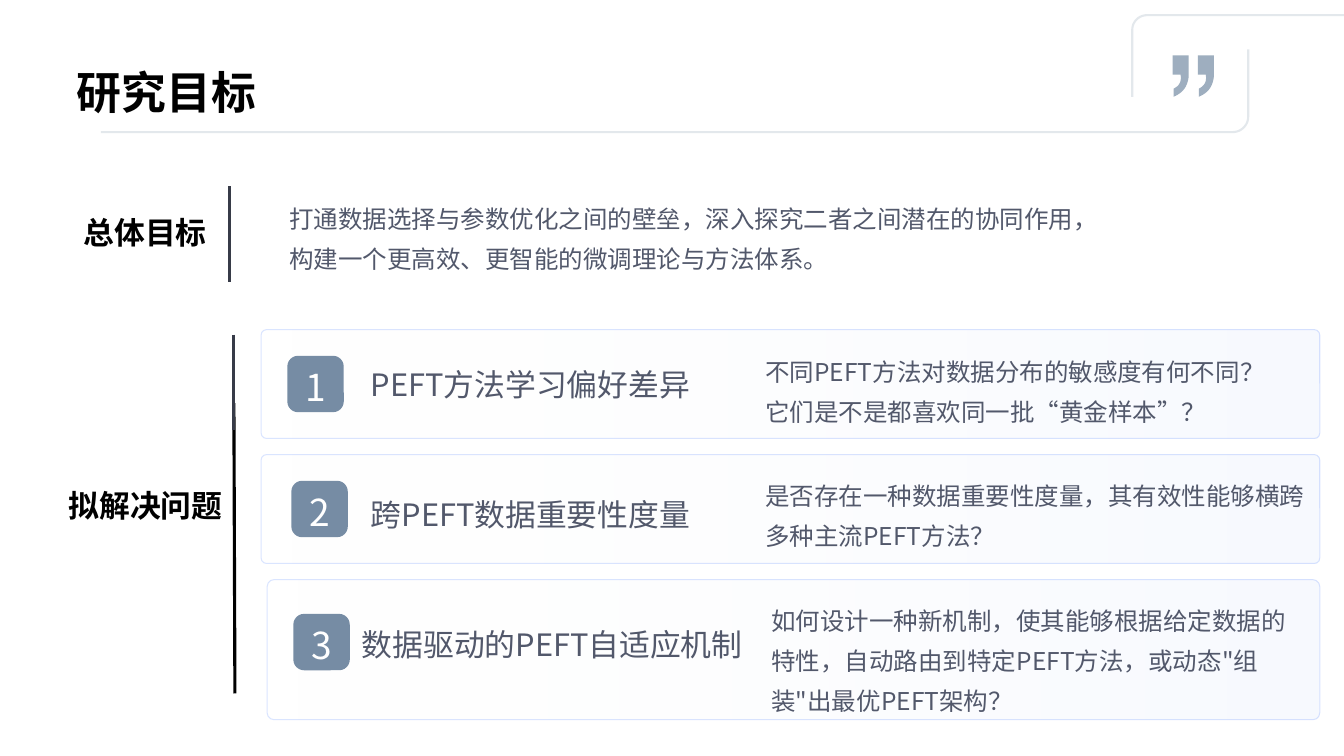
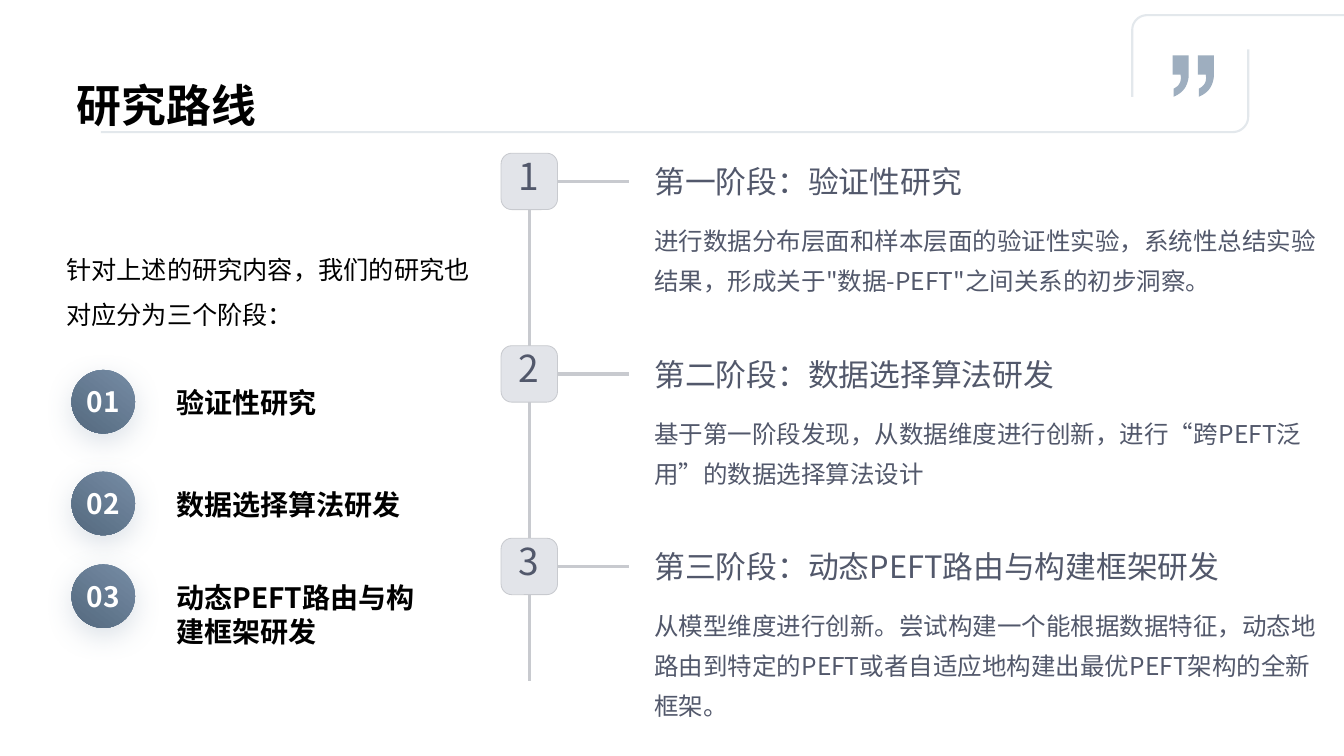
from lxml import etree
from pptx import Presentation
from pptx.dml.color import RGBColor
from pptx.enum.shapes import MSO_CONNECTOR, MSO_SHAPE
from pptx.enum.text import MSO_ANCHOR, MSO_AUTO_SIZE, PP_ALIGN
from pptx.oxml.ns import qn
from pptx.util import Pt

ROUND, OVAL = MSO_SHAPE.ROUNDED_RECTANGLE, MSO_SHAPE.OVAL
STRAIGHT = MSO_CONNECTOR.STRAIGHT
LEFT, CENTER = PP_ALIGN.LEFT, PP_ALIGN.CENTER
TOP, MIDDLE, BOTTOM = MSO_ANCHOR.TOP, MSO_ANCHOR.MIDDLE, MSO_ANCHOR.BOTTOM
NO_FIT = MSO_AUTO_SIZE.NONE

SANS, ARIAL = "Noto Sans CJK SC", "Arial"
BLACK, WHITE, INK, DARK = "000000", "FFFFFF", "52586B", "373B48"
STEEL, DEEP, RULE, MIST = "768CA4", "54697F", "C8CACF", "E2E4E9"
PALE, SKY, EDGE = "F5F8FF", "D7E2FF", "87A9FF"

HEAD = dict(size=22, color=INK, lead=Pt(27.5))
BODY = dict(size=17.5, color=INK, lead=Pt(28.5))
DIGIT = dict(size=26.5, lead=Pt(26.5), align=CENTER)
LABEL = dict(size=22, color=BLACK, bold=True)
PAD = (10, 5, 10, 5)
SIDE = 56

PROBLEMS = [
    ((259, 327, 1050, 108), (285, 353), (368, 361), (759, 344, 519),
     "PEFT方法学习偏好差异",
     "不同PEFT方法对数据分布的敏感度有何不同？它们是不是都喜欢同一批“黄金样本”？"),
    ((259, 451, 1050, 108), (289, 477), (368, 490), (759, 467, 550),
     "跨PEFT数据重要性度量",
     "是否存在一种数据重要性度量，其有效性能够横跨多种主流PEFT方法？"),
    ((265, 575, 1044, 139), (291, 609), (359, 619), (765, 591, 535),
     "数据驱动的PEFT自适应机制",
     "如何设计一种新机制，使其能够根据给定数据的特性，自动路由到特定PEFT方法，或动态\"组装\"出最优PEFT架构？"),
]
STAGES = [
    (367, "验证性研究", "第一阶段：验证性研究",
     "进行数据分布层面和样本层面的验证性实验，系统性总结实验结果，形成关于\"数据-PEFT\"之间关系的初步洞察。"),
    (468, "数据选择算法研发", "第二阶段：数据选择算法研发",
     "基于第一阶段发现，从数据维度进行创新，进行“跨PEFT泛用”的数据选择算法设计"),
    (560, "动态PEFT路由与构建框架研发", "第三阶段：动态PEFT路由与构建框架研发",
     "从模型维度进行创新。尝试构建一个能根据数据特征，动态地路由到特定的PEFT或者自适应地构建出最优PEFT架构的全新框架。"),
]


def px(n):
    return round(n * 9144)


def rgb(code):
    return RGBColor.from_string(code)


def write(shape, text, size=18, color=BLACK, bold=False, face=SANS,
          align=LEFT, lead=None, anchor=TOP, pad=(0, 0, 0, 0)):
    frame = shape.text_frame
    frame.word_wrap = True
    frame.auto_size = NO_FIT
    frame.vertical_anchor = anchor
    (frame.margin_left, frame.margin_top,
     frame.margin_right, frame.margin_bottom) = map(px, pad)
    frame.text = text
    for para in frame.paragraphs:
        para.alignment = align
        para.line_spacing = lead
        for run in para.runs:
            font = run.font
            font.size, font.bold = Pt(size), bold
            font.color.rgb = rgb(color)
            font.name = face
    for props in shape.element.iter(qn("a:rPr")):
        etree.SubElement(props, qn("a:ea"), typeface=face)


def note(slide, box, text, **style):
    write(slide.shapes.add_textbox(*map(px, box)), text, **style)


def paint(shape, fill=None, line=None, width=0.75):
    shape.shadow.inherit = False
    if fill:
        shape.fill.solid()
        shape.fill.fore_color.rgb = rgb(fill)
    else:
        shape.fill.background()
    if line:
        shape.line.color.rgb = rgb(line)
        shape.line.width = Pt(width)
    else:
        shape.line.fill.background()


def blend(shape, first, last, angle):
    shape.fill.gradient()
    shape.fill.gradient_angle = angle
    for stop, code in zip(shape.fill.gradient_stops, (first, last)):
        stop.color.rgb = rgb(code)


def fade(shape, *shares):
    colors = list(shape.element.iter(qn("a:srgbClr")))
    for color, share in zip(colors, shares):
        etree.SubElement(color, qn("a:alpha"), val=str(share * 1000))


def glow(shape):
    effects = next(shape.element.iter(qn("a:effectLst")))
    outer = etree.SubElement(effects, qn("a:outerShdw"), blurRad=str(Pt(20)),
                             dist=str(Pt(6)), dir="5400000", rotWithShape="0")
    color = etree.SubElement(outer, qn("a:srgbClr"), val=STEEL)
    etree.SubElement(color, qn("a:alpha"), val="25000")


def rule(slide, start, end, color):
    line = slide.shapes.add_connector(STRAIGHT, *map(px, start + end))
    line.line.color.rgb = rgb(color)
    line.line.width = Pt(2.25)
    etree.SubElement(line.element.find(qn("p:spPr")), qn("a:effectLst"))
    return line


def bend(start, one, two, end, steps=12):
    for i in range(1, steps + 1):
        t = i / steps
        u = 1 - t
        yield tuple(u**3 * a + 3 * u * u * t * b + 3 * u * t * t * c + t**3 * d
                    for a, b, c, d in zip(start, one, two, end))


def trace(slide, start, parts, close):
    points = [start]
    for part in parts:
        points += bend(points[-1], *part) if len(part) == 3 else part
    spots = [(px(x), px(y)) for x, y in points]
    pen = slide.shapes.build_freeform(*spots[0], scale=1.0)
    pen.add_line_segments(spots[1:], close=close)
    return pen.convert_to_shape()


def quote(slide, x):
    mark = trace(slide, (x + 1, 96), [
        [(x + 1, 88)],
        [(x + 7, 85), (x + 9, 81), (x + 8, 74)],
        [(x, 74)], [(x, 55)], [(x + 16, 55)], [(x + 16, 76)],
        [(x + 15, 85), (x + 11, 92), (x + 1, 96)],
    ], True)
    paint(mark, STEEL)
    fade(mark, 70)
    return mark


def frame(slide, start, *parts):
    shape = trace(slide, start, parts, False)
    paint(shape, line=STEEL, width=1.5)
    fade(shape, 20)
    return shape


def adorn(slide):
    marks = [
        quote(slide, 1163), quote(slide, 1188),
        frame(slide, (1123, 96), [(1123, 30)],
              [(1123, 21), (1130, 15), (1138, 15)], [(1333, 15)]),
        frame(slide, (100, 131), [(1223, 131)],
              [(1231, 131), (1238, 124), (1238, 116)], [(1238, 49)]),
    ]
    for num, mark in enumerate(marks, 20):
        mark.element.nvSpPr.cNvPr.id = num
        slide.slide_layout.shapes.element.append(mark.element)


def page(deck, text, top, high, face):
    slide = deck.slides.add_slide(deck.slide_layouts[5])
    title = slide.shapes.title
    title.left, title.top = px(76), px(top)
    title.width, title.height = px(1181), px(high)
    write(title, text, size=32, bold=True, face=face, anchor=BOTTOM)
    return slide


def badge(slide, x, y, num, drop, color, fill, line=None):
    shape = slide.shapes.add_shape(ROUND, *map(px, (x, y, SIDE, SIDE)))
    shape.adjustments[0] = 0.19
    paint(shape, fill, line, 0.6)
    write(shape, str(num), color=color, pad=(0, drop, 0, 0), **DIGIT)
    return shape


def card(slide, box):
    shape = slide.shapes.add_shape(ROUND, *map(px, box))
    shape.adjustments[0] = 0.05
    paint(shape, line=EDGE)
    blend(shape, PALE, SKY, 0)
    fade(shape, 0, 20, 30)


def disc(slide, y, num):
    shape = slide.shapes.add_shape(OVAL, *map(px, (71, y, 63, 63)))
    paint(shape)
    blend(shape, STEEL, DEEP, 232)
    glow(shape)
    write(shape, f"{num:02}", size=20, color=WHITE, bold=True,
          align=CENTER, anchor=MIDDLE)


def goals(deck):
    slide = page(deck, "研究目标", 39, 79, ARIAL)
    adorn(slide)
    note(slide, (83, 210, 140, 39), "总体目标", lead=Pt(27.5), **LABEL)
    rule(slide, (228, 185), (228, 280), DARK)
    note(slide, (287, 192, 1000, 95),
         "打通数据选择与参数优化之间的壁垒，深入探究二者之间潜在的协同作用，\n"
         "构建一个更高效、更智能的微调理论与方法体系。", **BODY)
    note(slide, (68, 442, 168, 80), "拟解决问题", lead=Pt(55.5), **LABEL)
    rule(slide, (232, 400), (233, 688), BLACK)
    rule(slide, (232, 332), (232, 427), DARK)
    for num, (box, spot, head, body, name, text) in enumerate(PROBLEMS, 1):
        card(slide, box)
        badge(slide, *spot, num, 13, WHITE, STEEL)
        note(slide, head + (400, 39), name, **HEAD)
        note(slide, body + (119,), text, **BODY)


def route(deck):
    slide = page(deck, "研究路线", 43, 87, SANS)
    note(slide, (56, 232, 444, 110),
         "针对上述的研究内容，我们的研究也对应分为三个阶段：",
         face=ARIAL, lead=1.5, pad=PAD)
    last = None
    for num, (spot, name, head, text) in enumerate(STAGES, 1):
        disc(slide, spot, num)
        note(slide, (165, spot + 11, 259, 77), name, size=20, bold=True, pad=PAD)
        top = 152 + 191 * (num - 1)
        mid = top + SIDE // 2
        box = badge(slide, 497, top, num, 4, INK, MIST, RULE)
        rule(slide, (553, mid), (624, mid), RULE).begin_connect(box, 3)
        if last:
            stem = rule(slide, (525, top - 135), (525, top), RULE)
            stem.begin_connect(last, 2)
            stem.end_connect(box, 0)
        note(slide, (649, top + 8, 674, 39), head, **HEAD)
        note(slide, (649, top + 62, 674, 79), text, **BODY)
        last = box
    rule(slide, (525, 590), (525, 676), RULE).begin_connect(last, 2)


def main():
    deck = Presentation()
    deck.slide_width, deck.slide_height = px(1333), px(750)
    goals(deck)
    route(deck)
    deck.save("out.pptx")


if __name__ == "__main__":
    main()
